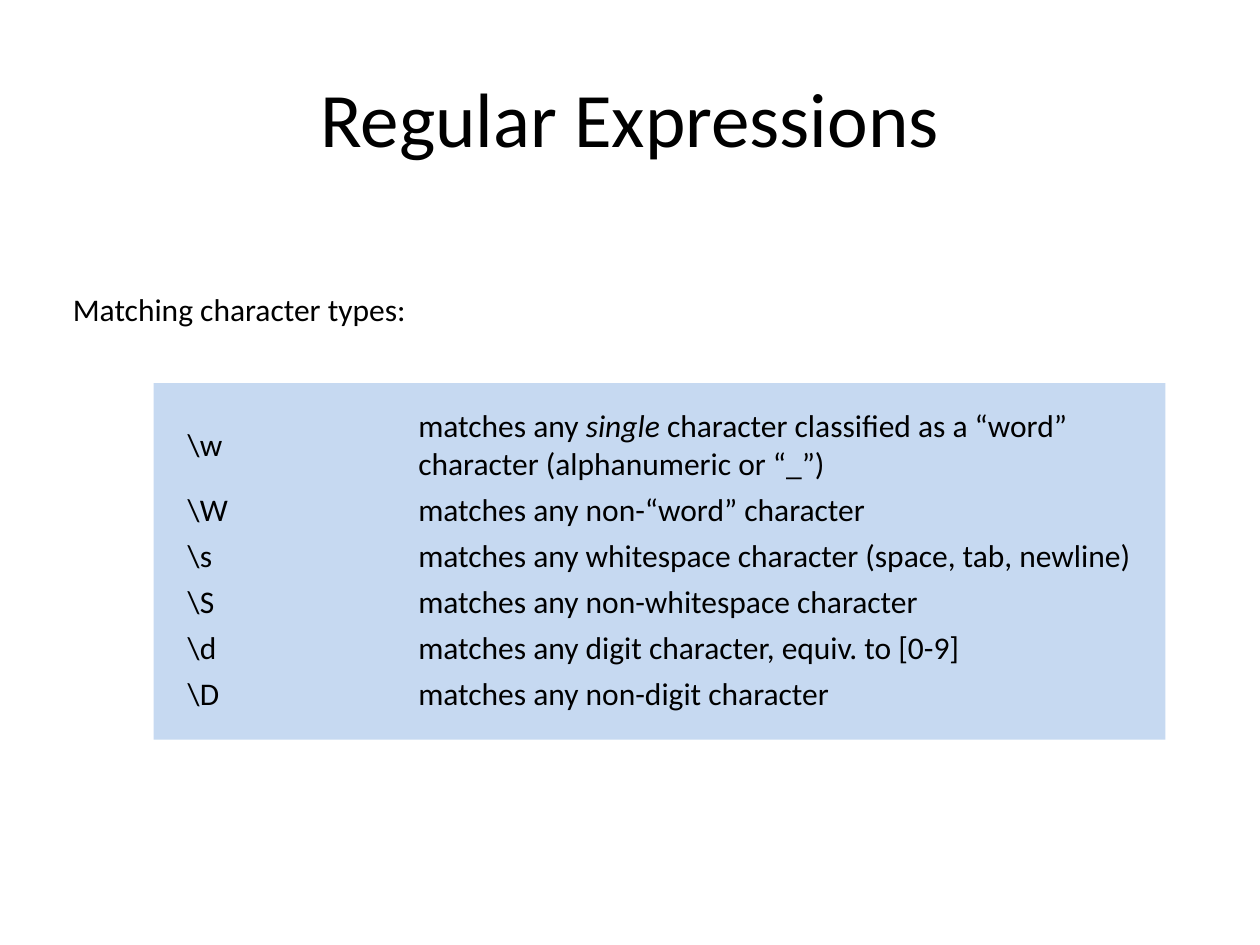
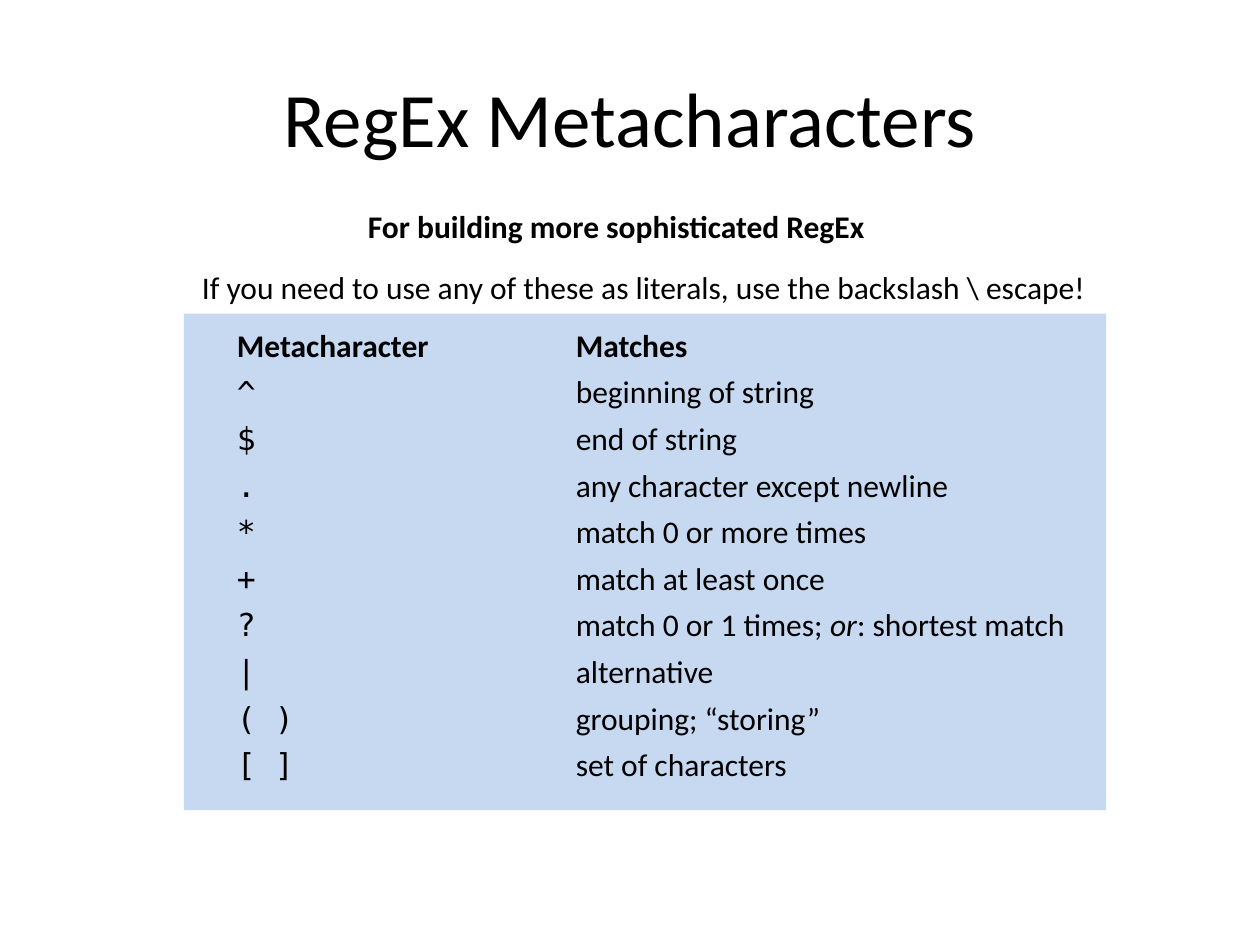
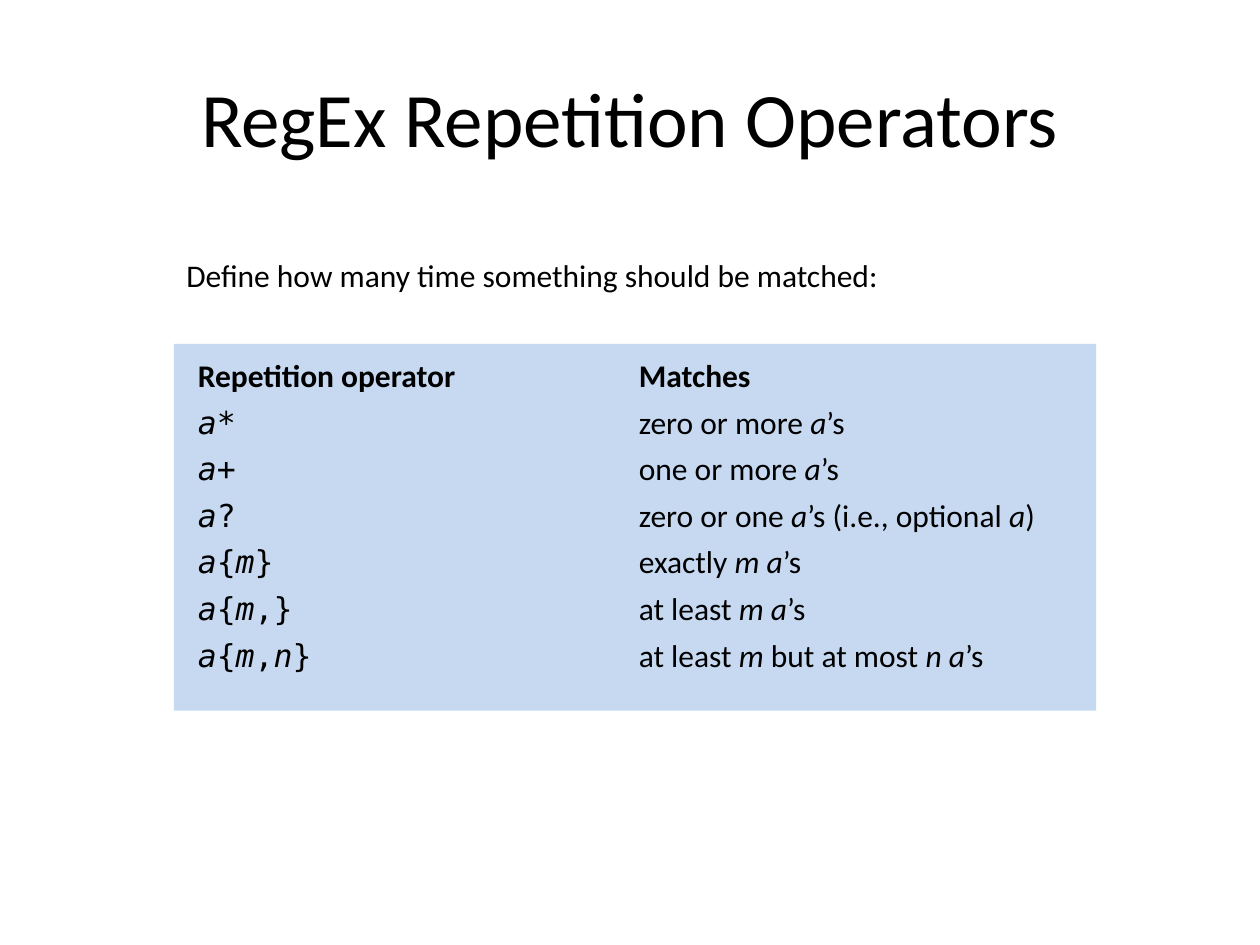
from pptx import Presentation
from pptx.dml.color import RGBColor
from pptx.enum.shapes import MSO_SHAPE as Shape
from pptx.enum.text import MSO_ANCHOR as Anchor, MSO_AUTO_SIZE as AutoSize, PP_ALIGN as Align
from pptx.oxml.ns import qn
from pptx.util import Inches, Pt

BLACK = RGBColor(0x00, 0x00, 0x00)
PANEL_BLUE = RGBColor(0xC6, 0xD9, 0xF1)
BODY_FONT = "Calibri"
CODE_FONT = "DejaVu Sans Mono"
TITLE_SIZE = 44
BODY_SIZE = 18
CELL_MARGIN = 0.03
CAPTION_HEIGHT = 0.4
HEADER_HEIGHT = 0.36
TITLE_BOX = (0.5, 0.3, 9, 1.25)
NO_GRID_STYLE = "{2D5ABB26-0587-4C30-8999-92F81FD0307C}"
ITALIC_MARK = "~"

SLIDES = [
    {
        "title": "Regular Expressions",
        "captions": [
            {"text": "Matching character types:", "place": (0.48, 2.25, 9.13)},
        ],
        "panel": (1.22, 3.04, 8.03, 2.83),
        "grid": {"corner": (1.46, 3.2), "columns": (1.83, 6.22), "row_height": 0.36},
        "header": None,
        "pattern_font": BODY_FONT,
        "rows": [
            ("\\w", "matches any ~single~ character classified as a “word” character (alphanumeric or “_”)"),
            ("\\W", "matches any non-“word” character"),
            ("\\s", "matches any whitespace character (space, tab, newline)"),
            ("\\S", "matches any non-whitespace character"),
            ("\\d", "matches any digit character, equiv. to [0-9]"),
            ("\\D", "matches any non-digit character"),
        ],
    },
    {
        "title": "RegEx Metacharacters",
        "captions": [
            {"text": "If you need to use any of these as literals, use the backslash \\ escape!",
             "place": (1.46, 2.08, 7.3), "align": Align.CENTER, "wrap": False},
            {"text": "For building more sophisticated RegEx ",
             "place": (1.06, 1.59, 7.72), "align": Align.CENTER, "bold": True},
        ],
        "panel": (1.46, 2.49, 7.32, 3.94),
        "grid": {"corner": (1.85, 2.57), "columns": (2.69, 4), "row_height": 0.37},
        "header": ("Metacharacter", "Matches"),
        "pattern_font": CODE_FONT,
        "rows": [
            ("^", "beginning of string"),
            ("$", "end of string"),
            (".", "any character except newline"),
            ("*", "match 0 or more times"),
            ("+", "match at least once"),
            ("?", "match 0 or 1 times; ~or~: shortest match"),
            ("|", "alternative"),
            ("( )", "grouping; “storing”"),
            ("[ ]", "set of characters"),
        ],
    },
    {
        "title": "RegEx Repetition Operators",
        "captions": [
            {"text": "Define how many time something should be matched:",
             "place": (1.38, 1.98, 8.19)},
        ],
        "panel": (1.38, 2.73, 7.32, 2.91),
        "grid": {"corner": (1.54, 2.81), "columns": (3.5, 3.5), "row_height": 0.37},
        "header": ("Repetition operator", "Matches"),
        "pattern_font": CODE_FONT,
        "rows": [
            ("~a~*", "zero or more ~a~’s"),
            ("~a~+", "one or more ~a~’s"),
            ("~a~?", "zero or one ~a~’s (i.e., optional ~a~)"),
            ("~a~{~m~}", "exactly ~m a~’s"),
            ("~a~{~m~,}", "at least ~m a~’s"),
            ("~a~{~m~,~n~}", "at least ~m~ but at most ~n a~’s"),
        ],
    },
]


def write(paragraph, text, size=BODY_SIZE, font=BODY_FONT, bold=False):
    for index, part in enumerate(text.split(ITALIC_MARK)):
        if part:
            run = paragraph.add_run()
            run.text = part
            run.font.name = font
            run.font.size = Pt(size)
            run.font.bold = bold
            run.font.italic = index % 2 == 1
            run.font.color.rgb = BLACK


def add_title(slide, text):
    title = slide.shapes.title
    title.left, title.top, title.width, title.height = map(Inches, TITLE_BOX)
    title.text_frame.vertical_anchor = Anchor.MIDDLE
    heading = title.text_frame.paragraphs[0]
    heading.alignment = Align.CENTER
    write(heading, text, TITLE_SIZE)


def add_panel(slide, box):
    panel = slide.shapes.add_shape(Shape.RECTANGLE, *map(Inches, box))
    panel.shadow.inherit = False
    panel.fill.solid()
    panel.fill.fore_color.rgb = PANEL_BLUE
    panel.line.fill.background()


def add_caption(slide, text, place, align=Align.LEFT, bold=False, wrap=True):
    box = slide.shapes.add_textbox(*map(Inches, (*place, CAPTION_HEIGHT)))
    frame = box.text_frame
    frame.word_wrap = wrap
    frame.auto_size = AutoSize.SHAPE_TO_FIT_TEXT
    frame.paragraphs[0].alignment = align
    write(frame.paragraphs[0], text, bold=bold)


def fill_cell(cell, text, font, bold):
    cell.fill.background()
    cell.vertical_anchor = Anchor.MIDDLE
    cell.margin_left = cell.margin_right = Inches(CELL_MARGIN)
    cell.margin_top = cell.margin_bottom = Inches(CELL_MARGIN)
    write(cell.text_frame.paragraphs[0], text, font=font, bold=bold)


def add_pattern_table(slide, grid, header, rows, pattern_font):
    lines = ([header] if header else []) + rows
    columns = grid["columns"]
    size = (sum(columns), grid["row_height"] * len(lines))
    frame = slide.shapes.add_table(
        len(lines), len(columns), *map(Inches, (*grid["corner"], *size)))
    frame.element.find(".//" + qn("a:tableStyleId")).text = NO_GRID_STYLE
    table = frame.table
    table.first_row = table.horz_banding = False
    for column, width in zip(table.columns, columns):
        column.width = Inches(width)
    for row, line in zip(table.rows, lines):
        is_header = line is header
        row.height = Inches(HEADER_HEIGHT if is_header else grid["row_height"])
        fonts = (BODY_FONT if is_header else pattern_font, BODY_FONT)
        for cell, text, font in zip(row.cells, line, fonts):
            fill_cell(cell, text, font, is_header)


def main():
    deck = Presentation()
    deck.slide_width, deck.slide_height = Inches(10), Inches(7.5)
    title_only = deck.slide_layouts[5]
    for content in SLIDES:
        slide = deck.slides.add_slide(title_only)
        add_panel(slide, content["panel"])
        add_title(slide, content["title"])
        add_pattern_table(slide, content["grid"], content["header"],
                          content["rows"], content["pattern_font"])
        for caption in content["captions"]:
            add_caption(slide, **caption)
    deck.save("out.pptx")


if __name__ == "__main__":
    main()
